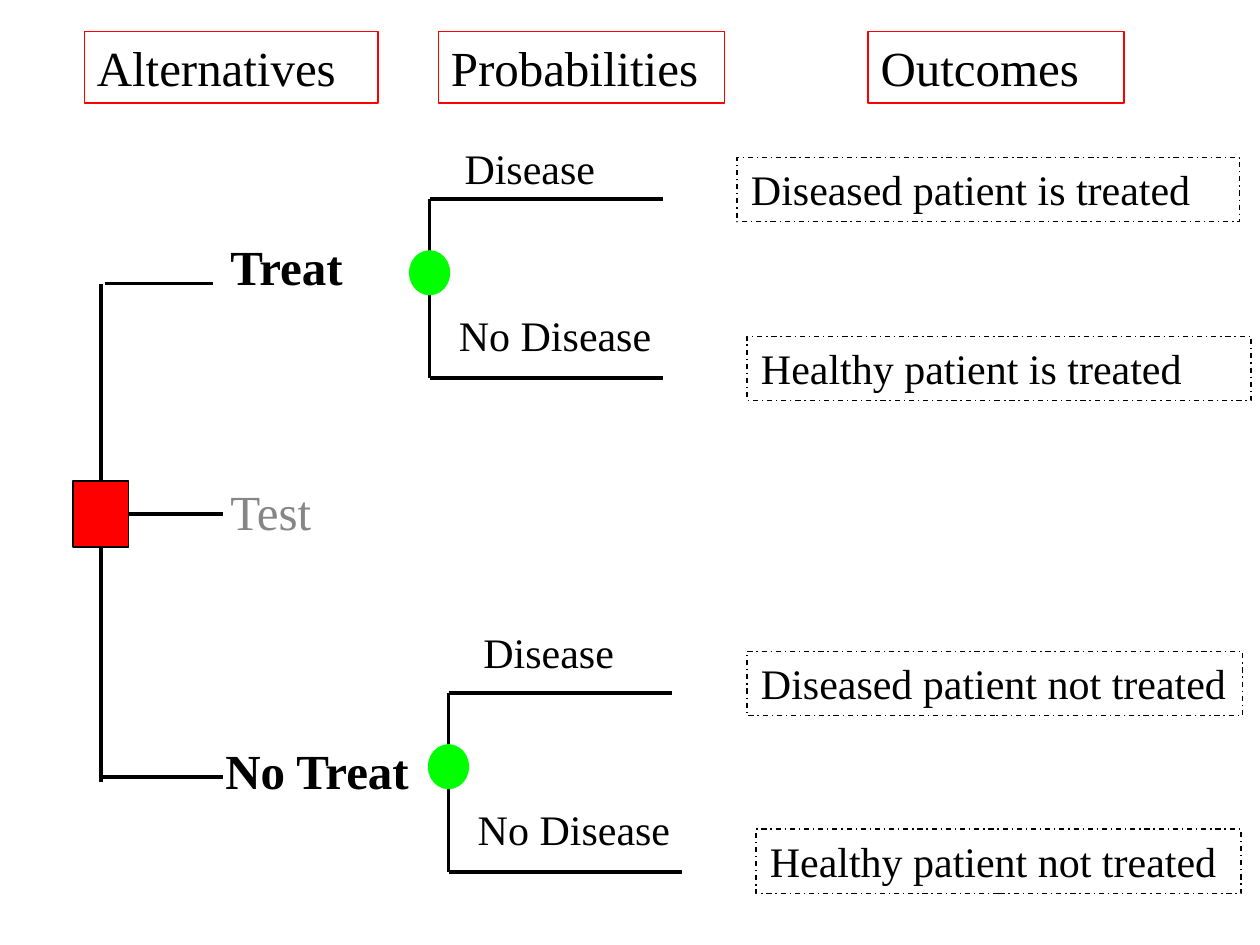
import pptx
import pptx.dml.color
import pptx.enum.dml
import pptx.enum.shapes
import pptx.enum.text
import pptx.oxml.ns
import pptx.util
import lxml.etree

Inches = pptx.util.Inches
SHAPES = pptx.enum.shapes.MSO_SHAPE
ALIGN = pptx.enum.text.PP_ALIGN
DASH = pptx.enum.dml.MSO_LINE.DASH_DOT

THEME = {
    "font": "Times New Roman",
    "ink": "000000",
    "muted": "868686",
    "decision": "FF0000",
    "chance": "00FF00",
    "large": 28,
    "small": 24,
    "trunk": 2.25,
    "branch": 2,
    "frame": 1,
    "outcome": 0.75,
}

HEADINGS = [
    ("Alternatives", 0.67, 2.33),
    ("Probabilities", 3.48, 2.27),
    ("Outcomes", 6.89, 2.03),
]
ALTERNATIVES = [
    ("Treat", 1.73, 1.83, 1.13, True, "ink"),
    ("Test", 1.73, 3.77, 0.87, False, "muted"),
    ("No Treat", 1.69, 5.83, 1.7, True, "ink"),
]
CHANCES = [
    {"x": 3.41, "y": 1.58, "label_top": 1.08, "ends": (5.26, 5.26)},
    {"x": 3.56, "y": 5.5, "label_top": 4.92, "ends": (5.33, 5.41)},
]
OUTCOMES = [
    ("Diseased patient is treated", 5.85, 1.25, 3.99),
    ("Healthy patient is treated", 5.93, 2.67, 4),
    ("Diseased patient not treated", 5.93, 5.17, 3.93),
    ("Healthy patient not treated", 6, 6.58, 3.85),
]
SQUARE = (0.58, 3.82, 0.44, 0.52)
TRUNK_X, TRUNK_TOP, TRUNK_BOTTOM = 0.8, 2.25, 6.21
BRANCH_HEIGHT = 1.42


def color(name):
    return pptx.dml.color.RGBColor.from_string(THEME[name])


def add_line(slide, start, end, weight):
    line = slide.shapes.add_connector(
        pptx.enum.shapes.MSO_CONNECTOR.STRAIGHT, *map(Inches, start + end))
    line.line.color.rgb = color("ink")
    line.line.width = pptx.util.Pt(THEME[weight])
    properties = line._element.spPr
    lxml.etree.SubElement(properties, pptx.oxml.ns.qn("a:effectLst"))
    return line


def add_node(slide, kind, box, fill, line, weight):
    shape = slide.shapes.add_shape(kind, *map(Inches, box))
    shape.shadow.inherit = False
    if fill:
        shape.fill.solid()
        shape.fill.fore_color.rgb = color(fill)
    else:
        shape.fill.background()
    shape.line.color.rgb = color(line)
    shape.line.width = pptx.util.Pt(THEME[weight])
    return shape


def write(shape, text, size, ink="ink", bold=False, align=ALIGN.LEFT, wrap=True):
    frame = shape.text_frame
    frame.text = text
    frame.word_wrap = wrap
    frame.vertical_anchor = pptx.enum.text.MSO_ANCHOR.TOP
    frame.margin_left = frame.margin_right = Inches(0.1 if size == "large" else 0.11)
    frame.margin_top = frame.margin_bottom = Inches(0.05)
    paragraph = frame.paragraphs[0]
    paragraph.alignment = align
    font = paragraph.runs[0].font
    font.name = THEME["font"]
    font.size = pptx.util.Pt(THEME[size])
    font.bold = bold
    font.color.rgb = color(ink)


def add_label(slide, text, box, size, **style):
    write(slide.shapes.add_textbox(*map(Inches, box)), text, size, **style)


def add_alternatives(slide):
    square = add_node(slide, SHAPES.RECTANGLE, SQUARE, "decision", "ink", "frame")
    left, top, width, height = SQUARE
    middle = top + height / 2
    up = add_line(slide, (TRUNK_X, TRUNK_TOP), (TRUNK_X, top), "trunk")
    up.end_connect(square, 0)
    down = add_line(slide, (TRUNK_X, top + height), (TRUNK_X, TRUNK_BOTTOM), "trunk")
    down.begin_connect(square, 2)
    across = add_line(slide, (left + width, middle), (1.77, middle), "trunk")
    across.begin_connect(square, 3)
    add_line(slide, (0.83, TRUNK_TOP), (1.69, TRUNK_TOP), "trunk")
    add_line(slide, (TRUNK_X, 6.17), (1.77, 6.17), "trunk")
    for text, x, y, label_width, bold, ink in ALTERNATIVES:
        add_label(slide, text, (x, y, label_width, 0.57), "large",
                  ink=ink, bold=bold, wrap=False)


def add_chance(slide, chance):
    x, y = chance["x"], chance["y"]
    bottom = y + BRANCH_HEIGHT
    add_line(slide, (x, y), (x, bottom), "branch")
    for level, end in zip((y, bottom), chance["ends"]):
        add_line(slide, (x, level), (end, level), "branch")
    add_node(slide, SHAPES.OVAL, (x - 0.15, y + 0.42, 0.3, 0.33),
             "chance", "chance", "branch")
    add_label(slide, "Disease", (x - 0.52, chance["label_top"], 2.63, 0.51),
              "small", align=ALIGN.CENTER)
    add_label(slide, "No Disease", (x + 0.12, y + 0.83, 1.75, 0.91),
              "small", align=ALIGN.CENTER, wrap=False)


def main():
    presentation = pptx.Presentation()
    presentation.slide_width = Inches(10)
    presentation.slide_height = Inches(7.5)
    slide = presentation.slides.add_slide(presentation.slide_layouts[6])
    add_alternatives(slide)
    for chance in CHANCES:
        add_chance(slide, chance)
    for text, x, y, width in OUTCOMES:
        outcome = add_node(slide, SHAPES.RECTANGLE, (x, y, width, 0.51),
                           None, "ink", "outcome")
        outcome.line.dash_style = DASH
        write(outcome, text, "small")
    for text, x, width in HEADINGS:
        heading = add_node(slide, SHAPES.RECTANGLE, (x, 0.25, width, 0.57),
                           None, "decision", "frame")
        write(heading, text, "large")
    presentation.save("out.pptx")


if __name__ == "__main__":
    main()
